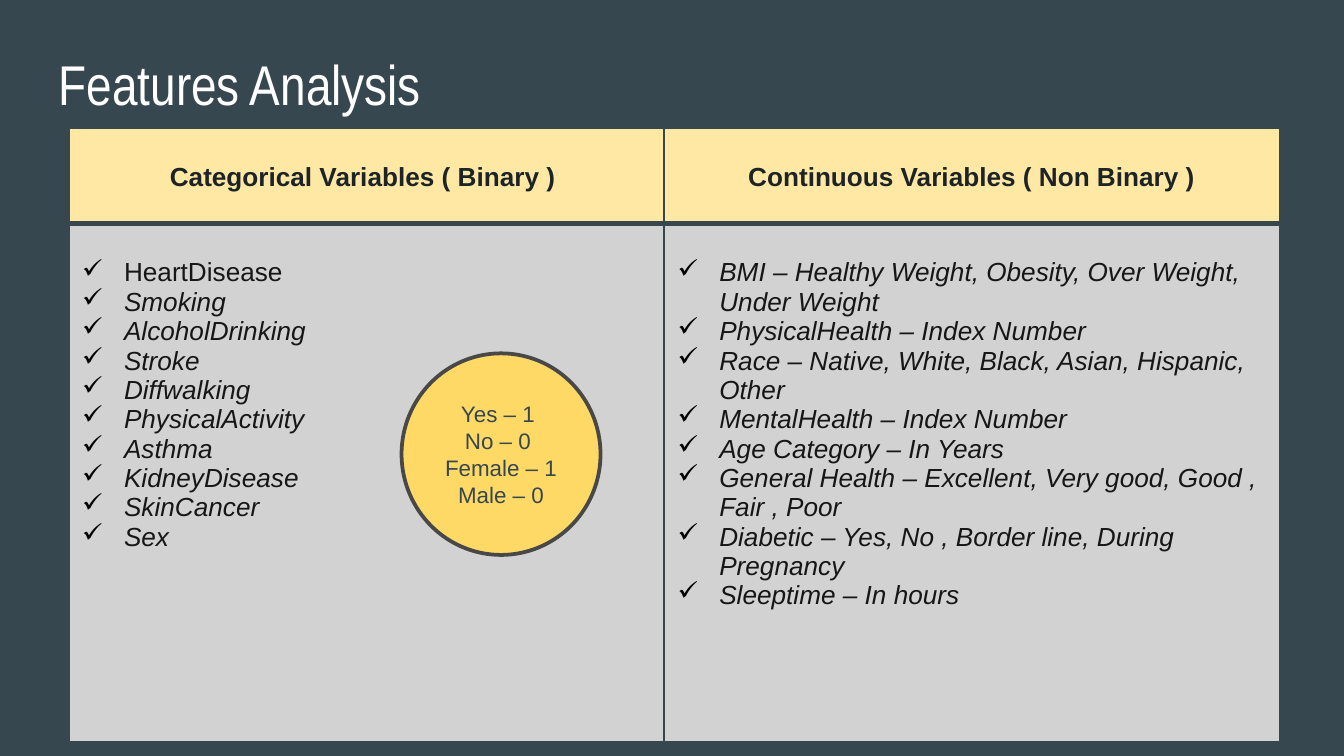
import pptx
import pptx.util
import pptx.dml.color
import pptx.enum.shapes
import pptx.enum.text
import pptx.oxml
import pptx.oxml.ns

Cm, Pt = pptx.util.Cm, pptx.util.Pt
RGB = pptx.dml.color.RGBColor
Align = pptx.enum.text.PP_ALIGN
Anchor = pptx.enum.text.MSO_ANCHOR

SLATE = RGB(0x37, 0x47, 0x4F)
WHITE = RGB(0xFF, 0xFF, 0xFF)
CREAM = RGB(0xFF, 0xE8, 0xA3)
GREY = RGB(0xD2, 0xD2, 0xD2)
GOLD = RGB(0xFF, 0xD9, 0x66)
EDGE = RGB(0x48, 0x48, 0x48)
INK = RGB(0x1C, 0x24, 0x28)
BLACK = RGB(0x16, 0x16, 0x16)
NS = pptx.oxml.ns.nsdecls("a")

HEADS = ["Categorical Variables ( Binary ) ", "Continuous Variables ( Non Binary )"]
LISTS = [
    ["HeartDisease", "Smoking", "AlcoholDrinking", "Stroke", "Diffwalking",
     "PhysicalActivity", "Asthma", "KidneyDisease", "SkinCancer", "Sex"],
    ["BMI – Healthy Weight, Obesity, Over Weight, Under Weight",
     "PhysicalHealth – Index Number",
     "Race – Native, White, Black, Asian, Hispanic, Other",
     "MentalHealth – Index Number",
     "Age Category – In Years",
     "General Health – Excellent, Very good, Good , Fair , Poor",
     "Diabetic – Yes, No , Border line, During Pregnancy",
     "Sleeptime – In hours"],
]
CODES = ["Yes – 1 ", "No – 0 ", "Female – 1", "Male – 0"]


class Deck:
    """Holds the text styles and the current slide."""

    head = {"name": "Arial", "size": Pt(14), "bold": True}
    body = {"name": "Arial", "size": Pt(14), "bold": False, "italic": True}
    note = {"name": "Arial", "size": Pt(12)}
    top = {"name": "Arial Narrow", "size": Pt(30)}

    def __init__(self):
        self.file = pptx.Presentation()
        self.file.slide_width, self.file.slide_height = Cm(25.4), Cm(14.29)
        self.slide = self.file.slides.add_slide(self.file.slide_layouts[5])
        fill = self.slide.background.fill
        fill.solid()
        fill.fore_color.rgb = SLATE

    def text(self, frame, lines, style, color, align):
        for i, line in enumerate(lines):
            para = frame.paragraphs[0] if i == 0 else frame.add_paragraph()
            para.alignment = align
            run = para.add_run()
            run.text = line
            for key, value in style.items():
                setattr(run.font, key, value)
            run.font.color.rgb = color

    def title(self, text, box):
        shape = self.slide.shapes.title
        shape.left, shape.top, shape.width, shape.height = box
        frame = shape.text_frame
        inset = Cm(0.25)
        form = {"margin_left": inset, "margin_right": inset, "margin_top": inset,
                "margin_bottom": inset, "vertical_anchor": Anchor.TOP,
                "auto_size": pptx.enum.text.MSO_AUTO_SIZE.NONE}
        for key, value in form.items():
            setattr(frame, key, value)
        self.text(frame, [text], self.top, WHITE, Align.LEFT)

    def table(self, box, cols, rows):
        table = self.slide.shapes.add_table(len(rows), len(cols), *box).table
        for col, width in zip(table.columns, cols):
            col.width = width
        for row, height in zip(table.rows, rows):
            row.height = height
        return table

    def cell(self, cell, fill, lines, style, color, align, **edges):
        cell.fill.solid()
        cell.fill.fore_color.rgb = fill
        cell.margin_top = Cm(0.66)
        self.text(cell.text_frame, lines, style, color, align)
        for i, side in enumerate("LRTB"):
            width = Pt(edges.get(side, 1))
            line = pptx.oxml.parse_xml(
                f'<a:ln{side} {NS} w="{width}"><a:solidFill>'
                f'<a:srgbClr val="{SLATE}"/></a:solidFill></a:ln{side}>')
            cell._tc.get_or_add_tcPr().insert(i, line)

    def ticks(self, frame):
        """Put a hanging check mark before each paragraph."""
        for para in frame.paragraphs:
            props = para._p.get_or_add_pPr()
            props.set("marL", str(Cm(0.79)))
            props.set("indent", str(-Cm(0.79)))
            for tag in ('buClr {}><a:srgbClr val="000000"/></a:buClr>',
                        'buChar {} char="✓"/>'):
                props.append(pptx.oxml.parse_xml("<a:" + tag.format(NS)))

    def disc(self, lines, box):
        shape = self.slide.shapes.add_shape(
            pptx.enum.shapes.MSO_SHAPE.OVAL, *box)
        shape.shadow.inherit = False
        shape.fill.solid()
        shape.fill.fore_color.rgb = GOLD
        shape.line.color.rgb = EDGE
        shape.line.width = Pt(2)
        shape.text_frame.vertical_anchor = Anchor.MIDDLE
        self.text(shape.text_frame, lines, self.note, SLATE, Align.CENTER)


def main():
    deck = Deck()
    deck.title("Features Analysis", (Cm(0.86), Cm(0.69), Cm(23.67), Cm(1.6)))
    cols, rows = (Cm(11.25), Cm(11.63)), (Cm(1.8), Cm(9.8))
    grid = deck.table((Cm(1.3), Cm(2.42), sum(cols), sum(rows)), cols, rows)
    for i, (head, items) in enumerate(zip(HEADS, LISTS)):
        deck.cell(grid.cell(0, i), CREAM, [head], deck.head, INK, Align.CENTER, B=3)
        cell = grid.cell(1, i)
        deck.cell(cell, GREY, items, deck.body, BLACK, Align.LEFT, T=3)
        deck.ticks(cell.text_frame)
    first = grid.cell(1, 0).text_frame.paragraphs[0]
    first.runs[0].font.italic = False
    deck.disc(CODES, (Cm(7.59), Cm(6.68), Cm(3.76), Cm(3.81)))
    deck.file.save("out.pptx")


if __name__ == "__main__":
    main()
